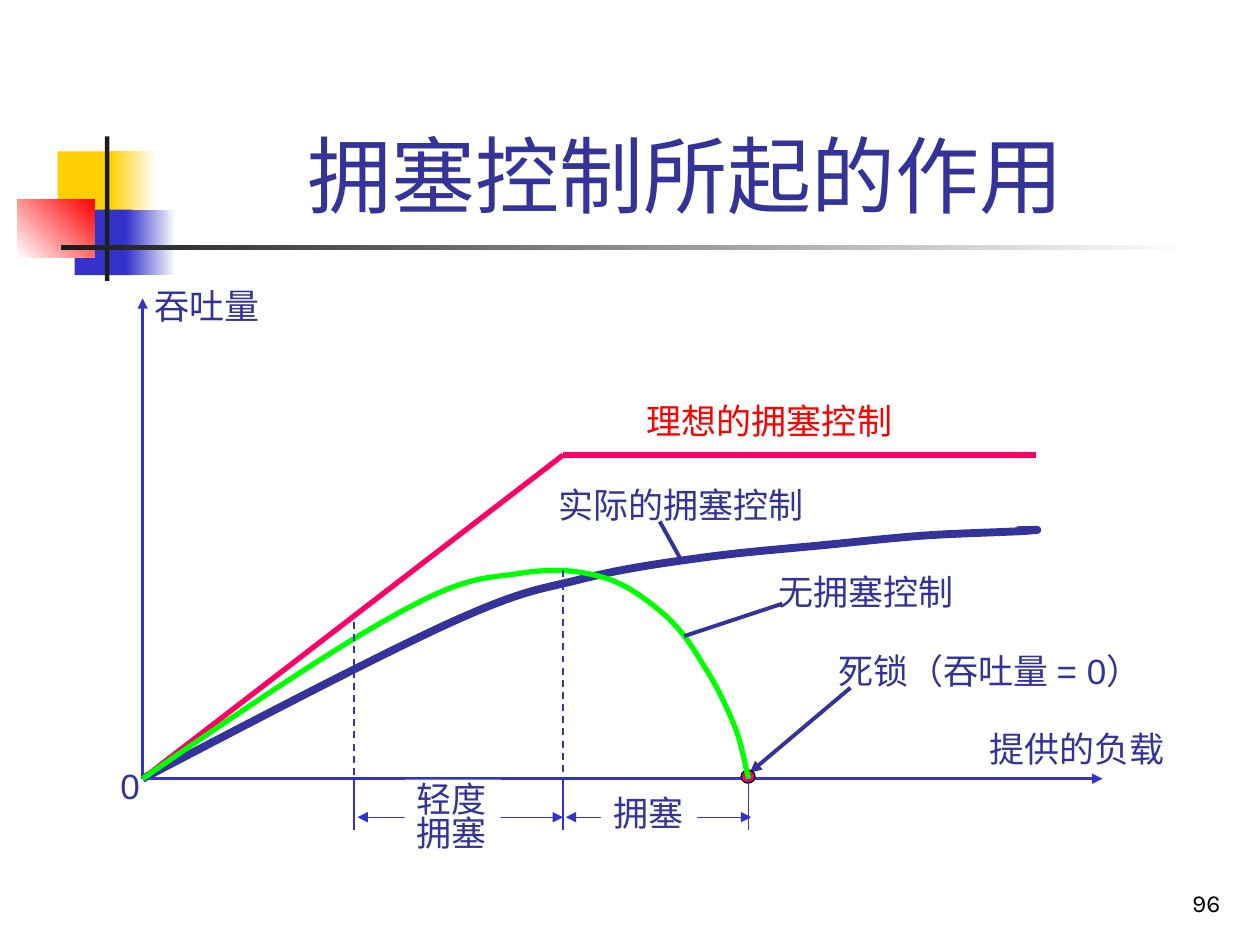
from lxml.etree import SubElement
from pptx import Presentation
from pptx.dml.color import RGBColor
from pptx.enum.dml import MSO_LINE
from pptx.enum.shapes import MSO_CONNECTOR, MSO_SHAPE
from pptx.enum.text import MSO_ANCHOR, MSO_AUTO_SIZE, PP_ALIGN
from pptx.oxml.ns import qn
from pptx.util import Pt

INK, BLUE, PINK = "333399", "3333CC", "FF0066"
ORIGIN = (81.5, 445)
BASE = ORIGIN[1]
LIGHT, HEAVY, DEADLOCK = 202.3, 321.8, 427.8  # load levels on the x axis

# Each entry holds two control points and an end point
ACTUAL_CURVE = [
    ((148.5, 410), (215.5, 375), (257, 356)),
    ((299, 337), (308, 337), (332, 331)),
    ((355.5, 325), (377, 322), (399, 319)),
    ((420.5, 316), (438.5, 314.5), (460, 312.5)),
    ((482.5, 310.5), (507.5, 307.5), (529, 306)),
    ((551, 304.5), (582, 304), (590.5, 303)),
    ((599, 302.5), (582.5, 303), (581, 303)),
]
UNCONTROLLED_CURVE = [
    ((138, 406), (196, 367), (232, 348)),
    ((268, 328.5), (279.5, 330.5), (298, 327.5)),
    ((317, 324.5), (331, 326), (345, 330)),
    ((358.5, 334), (370, 343), (380, 351.5)),
    ((389.5, 360), (396, 370), (402.5, 381)),
    ((409.5, 391.5), (415.5, 404.5), (420, 415.5)),
    ((424, 426), (425.5, 436), (DEADLOCK, BASE)),
]


def color(value):
    return RGBColor.from_string(value)


def add_block(page, left, top, width, height, start, end=None, angle=0):
    """Borderless rectangle, solid or fading from start to end."""
    block = page.shapes.add_shape(
        MSO_SHAPE.RECTANGLE, Pt(left), Pt(top), Pt(width), Pt(height))
    block.shadow.inherit = False
    block.line.fill.background()
    if end is None:
        block.fill.solid()
        block.fill.fore_color.rgb = color(start)
    else:
        block.fill.gradient()
        block.fill.gradient_angle = angle
        for stop, position, value in zip(block.fill.gradient_stops, (0, 1), (start, end)):
            stop.position = position
            stop.color.rgb = color(value)


def add_line(page, start, end, value, width, head=False, tail=False, dash=False):
    line = page.shapes.add_connector(
        MSO_CONNECTOR.STRAIGHT, *(Pt(n) for n in (*start, *end)))
    line.line.color.rgb = color(value)
    line.line.width = Pt(width)
    if dash:
        line.line.dash_style = MSO_LINE.DASH
    outline = line.line._get_or_add_ln()
    for wanted, tag in ((head, "a:headEnd"), (tail, "a:tailEnd")):
        if wanted:
            SubElement(outline, qn(tag), type="triangle")
    SubElement(line._element.spPr, qn("a:effectLst"))


def add_curve(page, start, segments, value, width):
    """Open outline whose straight segments are turned into Bezier segments."""
    builder = page.shapes.build_freeform(Pt(start[0]), Pt(start[1]))
    builder.add_line_segments(
        [(Pt(x), Pt(y)) for _, _, (x, y) in segments], close=False)
    curve = builder.convert_to_shape()
    straight = list(curve._element.iter(qn("a:lnTo")))
    for segment, points in zip(straight, segments):
        bezier = SubElement(segment.getparent(), qn("a:cubicBezTo"))
        for x, y in points:
            SubElement(bezier, qn("a:pt"),
                       x=str(Pt(x) - curve.left), y=str(Pt(y) - curve.top))
        segment.getparent().replace(segment, bezier)
    curve.shadow.inherit = False
    curve.fill.background()
    curve.line.color.rgb = color(value)
    curve.line.width = Pt(width)


def add_span(para, text, size, value, font="Arial"):
    span = para.add_run()
    span.text = text
    span.font.size = Pt(size)
    span.font.name = font
    span.font.color.rgb = color(value)


def add_label(page, left, top, width, *lines, height=31.5, value=INK,
              fill=None, spacing=None):
    box = page.shapes.add_textbox(Pt(left), Pt(top), Pt(width), Pt(height))
    if fill:
        box.fill.solid()
        box.fill.fore_color.rgb = color(fill)
    frame = box.text_frame
    frame.word_wrap = False
    frame.auto_size = MSO_AUTO_SIZE.SHAPE_TO_FIT_TEXT
    for index, text in enumerate(lines):
        para = frame.add_paragraph() if index else frame.paragraphs[0]
        para.line_spacing = spacing
        add_span(para, text, 20, value)


def add_decoration(page):
    add_block(page, 33, 86.5, 34.5, 37.5, "FFCF01")
    add_block(page, 63, 86.5, 26, 37.5, "FFCF01", "FFFFFF")
    add_block(page, 42.7, 119.8, 33, 37.5, BLUE)
    add_block(page, 72, 119.8, 28.5, 37.5, BLUE, "FFFFFF")
    add_block(page, 10, 113.8, 44, 33.5, "FFFFFF", "FF0000", angle=45)
    add_block(page, 60, 78, 2.5, 82.5, "1C1C1C")
    add_block(page, 34.8, 140.2, 648, 2.5, "1C1C1C", "FFFFFF")


def add_title(page, text):
    title = page.shapes.title
    title.left, title.top, title.width, title.height = Pt(90.7), Pt(16.6), Pt(613), Pt(115.2)
    frame = title.text_frame
    frame.auto_size = MSO_AUTO_SIZE.NONE
    frame.vertical_anchor = MSO_ANCHOR.BOTTOM
    para = frame.paragraphs[0]
    para.alignment = PP_ALIGN.CENTER
    add_span(para, text, 48, INK)


def add_page_number(page, text):
    box = page.shapes.add_textbox(Pt(554.5), Pt(491.8), Pt(150), Pt(36))
    frame = box.text_frame
    frame.word_wrap = True
    frame.vertical_anchor = MSO_ANCHOR.BOTTOM
    para = frame.paragraphs[0]
    para.alignment = PP_ALIGN.RIGHT
    add_span(para, text, 14, "000000", "Karla")


def add_chart_lines(page):
    # Vertical axis and ideal control
    add_line(page, ORIGIN, (ORIGIN[0], 170.5), BLUE, 1.5, tail=True)
    add_line(page, ORIGIN, (HEAVY, 260), PINK, 3)
    add_line(page, (HEAVY, 260), (591.8, 260), PINK, 3)

    # Actual control, then the horizontal axis over it
    add_curve(page, ORIGIN, ACTUAL_CURVE, INK, 4.5)
    add_line(page, (377, 298), (389.5, 320.5), INK, 2.25)
    add_line(page, ORIGIN, (630, BASE), BLUE, 1.5, tail=True)

    # Deadlock point
    add_line(page, (486, 393), (428.5, 441.5), INK, 2.25, tail=True)
    dot = page.shapes.add_shape(MSO_SHAPE.OVAL, Pt(423.5), Pt(440), Pt(8), Pt(7.5))
    dot.shadow.inherit = False
    dot.fill.solid()
    dot.fill.fore_color.rgb = color(PINK)
    dot.line.color.rgb = color("000000")
    dot.line.width = Pt(0.75)

    # Congestion ranges below the axis
    for start, end in ((HEAVY + 1.5, DEADLOCK + 1.5), (LIGHT + 2, HEAVY)):
        add_line(page, (start, 467), (end, 467), BLUE, 0.75, head=True, tail=True)

    # No control
    add_curve(page, ORIGIN, UNCONTROLLED_CURVE, "00FF00", 3)
    add_line(page, (447, 345), (391, 363.5), INK, 2.25)

    # Range limits
    for load, top in ((HEAVY, 326), (LIGHT, 355.5)):
        add_line(page, (load, top), (load, BASE), BLUE, 1, dash=True)
    for load in (LIGHT, HEAVY, DEADLOCK):
        add_line(page, (load, BASE), (load, 474.5), BLUE, 0.75)


def add_chart_labels(page):
    add_label(page, 558.5, 412, 115, "提供的负载")
    add_label(page, 81, 159, 75, "吞吐量")
    add_label(page, 362.5, 224.5, 155, "理想的拥塞控制", value="FF0000")
    add_label(page, 312, 273, 155, "实际的拥塞控制")
    add_label(page, 61.8, 433.5, 25.5, "0")
    add_label(page, 472, 367.5, 202.5, "死锁（吞吐量 = 0）")
    add_label(page, 437.5, 322.2, 115, "无拥塞控制")
    add_label(page, 343.4, 448.5, 55, "拥塞", fill="FFFFFF")
    add_label(page, 231.2, 445.5, 55, "轻度", "拥塞", height=46,
              fill="FFFFFF", spacing=0.8)


def main():
    deck = Presentation()
    deck.slide_width, deck.slide_height = Pt(720), Pt(540)
    page = deck.slides.add_slide(deck.slide_layouts[5])
    add_decoration(page)
    add_title(page, "拥塞控制所起的作用 ")
    add_chart_lines(page)
    add_chart_labels(page)
    add_page_number(page, "96")
    deck.save("out.pptx")


if __name__ == "__main__":
    main()
